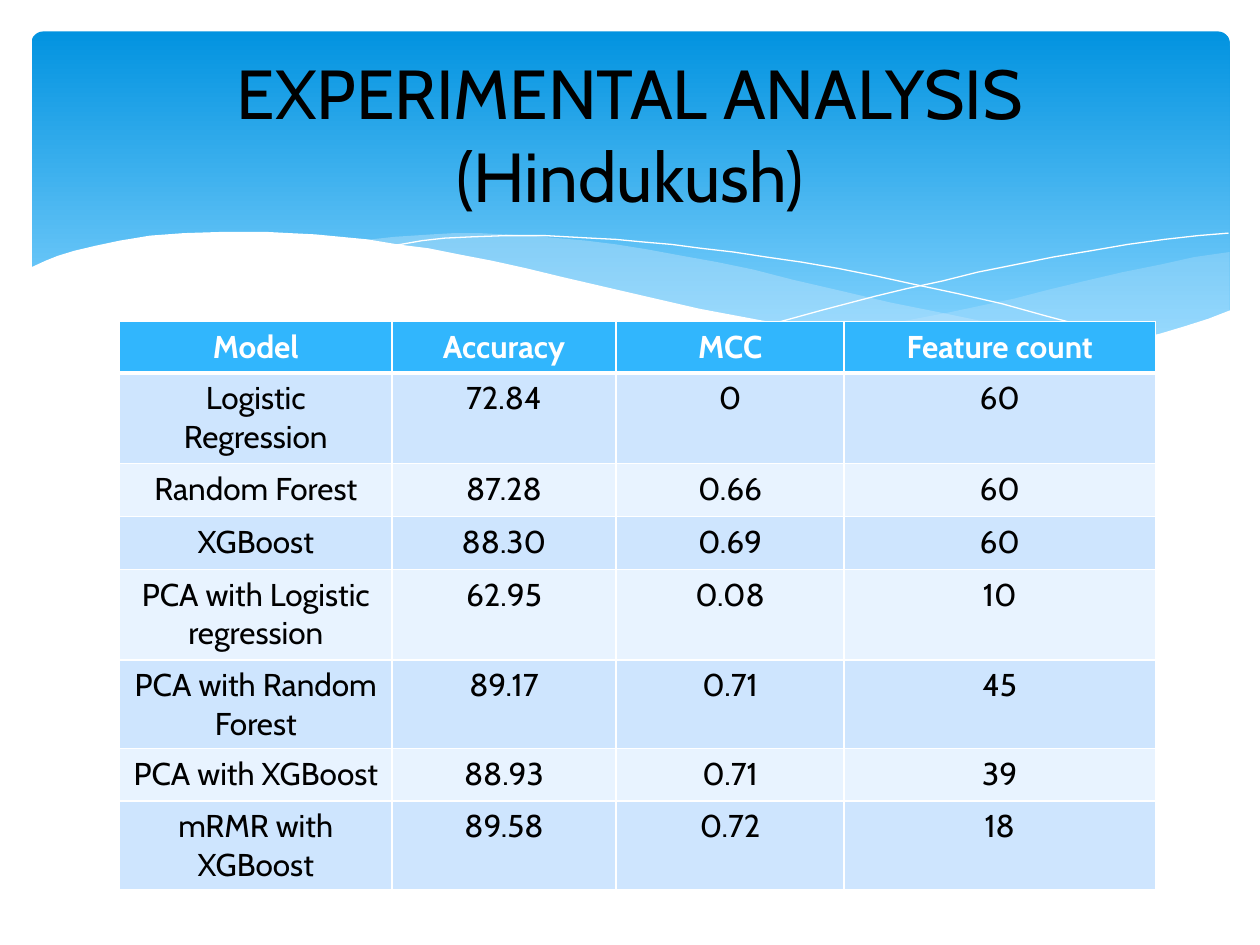
from lxml.etree import SubElement
from pptx import Presentation
from pptx.dml.color import RGBColor as Rgb
from pptx.enum.shapes import MSO_SHAPE as Shape
from pptx.enum.text import MSO_ANCHOR as Anchor, PP_ALIGN as Align
from pptx.oxml import parse_xml
from pptx.oxml.ns import nsdecls, qn
from pptx.util import Inches, Pt

COLORS = {
    "white": "FFFFFF", "black": "000000", "sky_top": "0293E0", "sky_bottom": "83D3FE",
    "wave": "C6E7FC", "header": "31B6FD", "odd_row": "CEE5FE", "even_row": "E8F3FF",
}

deck = Presentation()
deck.slide_width, deck.slide_height = Inches(10), Inches(7.5)
column = deck.slide_width / 10
row = deck.slide_height / 7.5
page = deck.slides.add_slide(deck.slide_layouts[6])


def write_text(frame, text, size=18, color="black", bold=False):
    para = frame.paragraphs[0]
    para.alignment = Align.CENTER
    span = para.add_run()
    span.text = text
    span.font.name = "Cabin"
    span.font.size = Pt(size)
    span.font.bold = bold
    span.font.color.rgb = Rgb.from_string(COLORS[color])


def draw_wave(points, color, opacity=None, closed=True):
    start, *rest = [(round(x * 100), round(y * 100)) for x, y in points]
    builder = page.shapes.build_freeform(*start, scale=column / 100)
    builder.add_line_segments(rest, close=closed)
    wave = builder.convert_to_shape()
    wave.shadow.inherit = False
    if not closed:
        wave.fill.background()
        wave.line.color.rgb = Rgb.from_string(COLORS[color])
        wave.line.width = Pt(0)
        return
    wave.line.fill.background()
    wave.fill.solid()
    wave.fill.fore_color.rgb = Rgb.from_string(COLORS[color])
    if opacity:
        tint = next(wave.element.spPr.iter(qn("a:srgbClr")))
        SubElement(tint, qn("a:alpha"), val=str(opacity * 1000))


sky = page.shapes.add_shape(
    Shape.ROUNDED_RECTANGLE, int(0.25 * column), int(0.25 * row), int(9.51 * column), int(2.7 * row))
sky.adjustments[0] = 0.034
sky.shadow.inherit = False
sky.line.fill.background()
sky.fill.gradient()
sky.fill.gradient_angle = 270
for stop, color, position in zip(sky.fill.gradient_stops, ("sky_top", "sky_bottom"), (0, 0.9)):
    stop.color.rgb = Rgb.from_string(COLORS[color])
    stop.position = position

right_wave = [
    (9.76, 2), (9.48, 2.04), (9.21, 2.1), (8.91, 2.16), (8.61, 2.23), (8.32, 2.3), (8.05, 2.37),
    (7.53, 2.48), (7.06, 2.57), (6.61, 2.65), (6.91, 2.69), (7.19, 2.72), (7.45, 2.75),
    (7.69, 2.77), (8.03, 2.78), (8.35, 2.77), (8.63, 2.75), (8.89, 2.72), (9.13, 2.67),
    (9.35, 2.62), (9.49, 2.57), (9.63, 2.52), (9.76, 2.47),
]
middle_wave = [
    (8.93, 2.73), (8.66, 2.69), (8.37, 2.65), (8.07, 2.6), (7.75, 2.54), (7.41, 2.47),
    (7.06, 2.4), (6.68, 2.31), (6.29, 2.22), (5.98, 2.14), (5.69, 2.08), (5.41, 2.03),
    (5.14, 1.98), (4.89, 1.94), (4.65, 1.91), (4.42, 1.89), (4.2, 1.87), (3.99, 1.86),
    (3.8, 1.85), (3.61, 1.85), (3.44, 1.86), (3.13, 1.88), (2.86, 1.91), (3.23, 1.96),
    (3.62, 2.03), (4.04, 2.11), (4.49, 2.22), (4.91, 2.32), (5.3, 2.4), (5.66, 2.48),
    (6.01, 2.55), (6.34, 2.61), (6.65, 2.66), (6.95, 2.7), (7.22, 2.74), (7.48, 2.76),
    (7.73, 2.77), (7.96, 2.78), (8.28, 2.78), (8.57, 2.77), (8.76, 2.75),
]
falling_line = [
    (3.09, 1.95), (3.18, 1.94), (3.35, 1.91), (3.53, 1.89), (3.74, 1.88), (4.01, 1.87),
    (4.33, 1.87), (4.69, 1.89), (4.89, 1.9), (5.1, 1.92), (5.33, 1.94), (5.56, 1.97),
    (5.82, 2), (6.08, 2.04), (6.36, 2.08), (6.65, 2.13), (6.95, 2.19), (7.27, 2.26),
    (7.6, 2.33), (7.95, 2.41), (8.31, 2.51), (8.69, 2.61), (9.07, 2.72),
]
rising_line = [
    (6.13, 2.57), (6.53, 2.46), (6.95, 2.35), (7.2, 2.29), (7.48, 2.23), (7.76, 2.16),
    (8.06, 2.1), (8.36, 2.04), (8.66, 1.99), (8.95, 1.94), (9.24, 1.9), (9.51, 1.87), (9.75, 1.85),
]
white_wave = [
    (9.77, 2.46), (9.59, 2.53), (9.4, 2.59), (9.2, 2.65), (8.99, 2.69), (8.75, 2.73),
    (8.5, 2.75), (8.23, 2.77), (7.93, 2.76), (7.61, 2.75), (7.26, 2.72), (6.88, 2.68),
    (6.48, 2.62), (6.03, 2.54), (5.55, 2.45), (5.03, 2.33), (4.47, 2.2), (4.18, 2.13),
    (3.91, 2.07), (3.65, 2.02), (3.4, 1.97), (3.16, 1.94), (2.92, 1.9), (2.71, 1.88),
    (2.5, 1.86), (2.3, 1.85), (2.11, 1.84), (1.77, 1.84), (1.46, 1.85), (1.19, 1.87),
    (0.95, 1.91), (0.76, 1.95), (0.59, 1.99), (0.46, 2.03), (0.36, 2.07), (0.23, 2.13),
    (0.23, 3.29), (9.77, 3.29),
]
draw_wave(right_wave, "wave", opacity=29)
draw_wave(middle_wave, "wave", opacity=40)
draw_wave(falling_line, "white", closed=False)
draw_wave(rising_line, "white", closed=False)
draw_wave(white_wave, "white")

title = page.shapes.add_textbox(int(0.5 * column), int(0.37 * row), int(9 * column), int(1.37 * row))
title.text_frame.word_wrap = True
title.text_frame.vertical_anchor = Anchor.MIDDLE
write_text(title.text_frame, "EXPERIMENTAL ANALYSIS (Hindukush)", size=39.6)

results = [
    ("Model", "Accuracy", "MCC", "Feature count"),
    ("Logistic Regression", "72.84", "0", "60"),
    ("Random Forest", "87.28", "0.66", "60"),
    ("XGBoost", "88.30", "0.69", "60"),
    ("PCA with Logistic regression", "62.95", "0.08", "10"),
    ("PCA with Random Forest", "89.17", "0.71", "45"),
    ("PCA with XGBoost", "88.93", "0.71", "39"),
    ("mRMR with XGBoost", "89.58", "0.72", "18"),
]
widths = (2.16, 1.78, 1.81, 2.47)
heights = (0.41, 0.72, 0.42, 0.42, 0.72, 0.42, 0.42, 0.42)
table = page.shapes.add_table(
    len(results), len(widths), int(0.95 * column), int(2.55 * row),
    int(sum(widths) * column), int(sum(heights) * row)).table
for grid_column, width in zip(table.columns, widths):
    grid_column.width = int(width * column)

for line, (record, height) in enumerate(zip(results, heights)):
    table.rows[line].height = int(height * row)
    is_header = line == 0
    fill = "header" if is_header else "odd_row" if line % 2 else "even_row"
    borders = {"L": 1, "R": 1, "T": 3 if line == 1 else 1, "B": 3 if is_header else 1}
    for place, text in enumerate(record):
        cell = table.cell(line, place)
        cell.fill.solid()
        cell.fill.fore_color.rgb = Rgb.from_string(COLORS[fill])
        write_text(cell.text_frame, text, color="white" if is_header else "black", bold=is_header)
        properties = cell._tc.get_or_add_tcPr()
        for order, (side, points) in enumerate(borders.items()):
            properties.insert(order, parse_xml(
                f'<a:ln{side} {nsdecls("a")} w="{Pt(points)}"><a:solidFill>'
                f'<a:srgbClr val="{COLORS["white"]}"/></a:solidFill></a:ln{side}>'))

deck.save("out.pptx")
